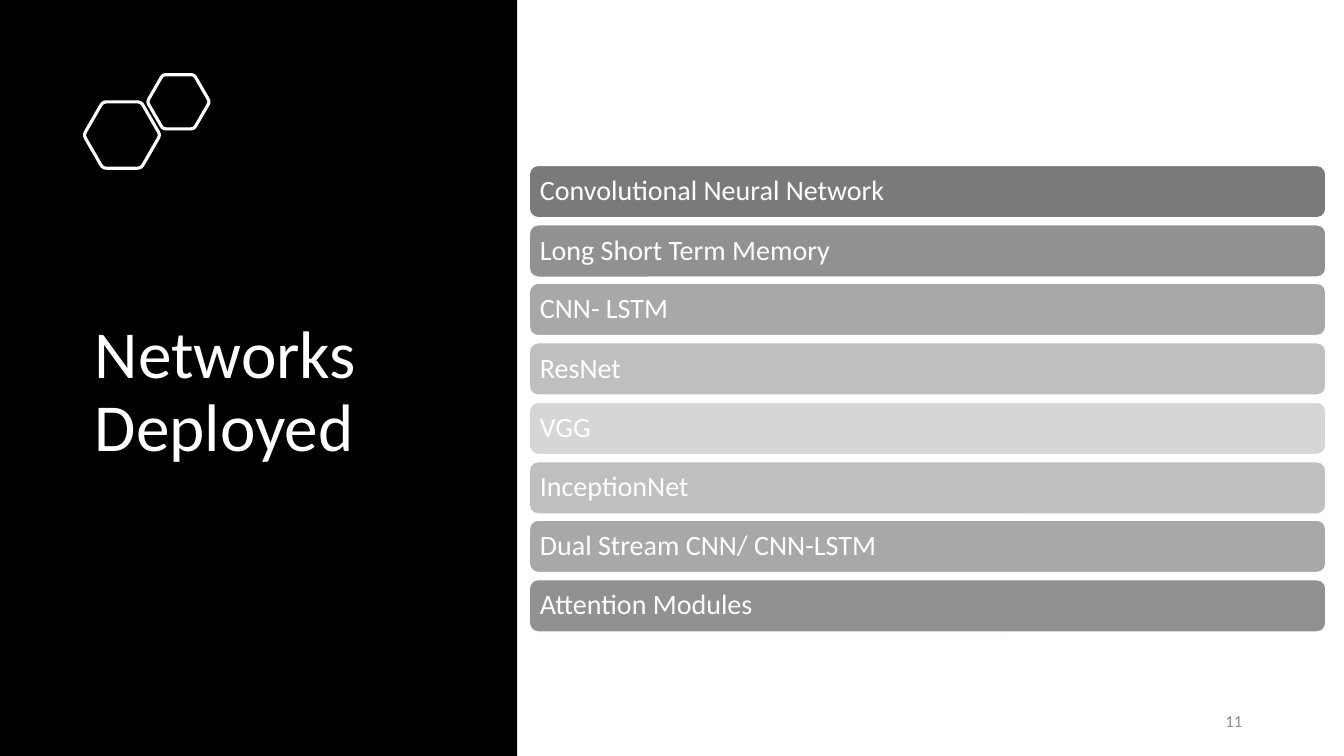
import math
from pptx import Presentation, util as u
from pptx.dml.color import RGBColor
from pptx.enum import shapes, text

PX = u.Inches(0.01)
THEME = {
    "font": "Calibri",
    "white": "FFFFFF",
    "panel": "000000",
    "number": "8C8C8C",
    "greys": ["7A7A7A", "919191", "A8A8A8", "BFBFBF", "D6D6D6"],
    "title_size": 48,
    "network_size": 20,
    "number_size": 12,
}


def color(name):
    return RGBColor.from_string(THEME.get(name, name))


def write(holder, words, size, ink, align, spacing, inset):
    frame = holder.text_frame
    frame.text = words
    frame_format = {
        "word_wrap": True,
        "auto_size": text.MSO_AUTO_SIZE.NONE,
        "vertical_anchor": text.MSO_ANCHOR.MIDDLE,
        "margin_left": inset * PX,
        "margin_right": inset * PX,
    }
    for key, value in frame_format.items():
        setattr(frame, key, value)
    line = frame.paragraphs[0]
    line.alignment = align
    line.line_spacing = spacing
    font_format = {"name": THEME["font"], "size": u.Pt(THEME[size])}
    for key, value in font_format.items():
        setattr(line.font, key, value)
    line.font.color.rgb = color(ink)


deck = Presentation()
deck.slide_width = 1333 * PX
deck.slide_height = 750 * PX
slide = deck.slides.add_slide(deck.slide_layouts[5])
canvas = slide.shapes

panel = canvas.add_shape(shapes.MSO_SHAPE.RECTANGLE, 0, 0, 513 * PX, 750 * PX)
panel.shadow.inherit = False
panel.fill.solid()
panel.fill.fore_color.rgb = color("panel")
panel.line.fill.background()

CORNER = 0.1
for center_x, center_y, radius in [(121, 134, 38), (177, 101, 31)]:
    vertices = [
        (center_x + radius * math.cos(math.radians(angle)),
         center_y + radius * math.sin(math.radians(angle)))
        for angle in range(0, 360, 60)
    ]
    outline = []
    for side, vertex in enumerate(vertices):
        before, after = vertices[side - 1], vertices[(side + 1) % 6]
        for step in range(5):
            t = step / 4
            outline.append(tuple(
                round(PX * (v + CORNER * ((1 - t) ** 2 * (b - v) + t ** 2 * (a - v))))
                for v, b, a in zip(vertex, before, after)
            ))
    builder = canvas.build_freeform(*outline[0])
    builder.add_line_segments(outline[1:], close=True)
    hexagon = builder.convert_to_shape()
    hexagon.shadow.inherit = False
    hexagon.fill.background()
    hexagon.line.color.rgb = color("white")
    hexagon.line.width = u.Pt(2.25)

title = canvas.title
title_place = {"left": 84, "top": 156, "width": 392, "height": 468}
for key, value in title_place.items():
    setattr(title, key, value * PX)
write(title, "Networks Deployed ", "title_size", "white", text.PP_ALIGN.LEFT, 0.9, 10)
panel._element.addnext(title._element)

networks = [
    "Convolutional Neural Network",
    "Long Short Term Memory",
    "CNN- LSTM",
    "ResNet",
    "VGG",
    "InceptionNet",
    "Dual Stream CNN/ CNN-LSTM",
    "Attention Modules",
]
FIRST_TOP, LAST_TOP = 164, 575
pitch = (LAST_TOP - FIRST_TOP) / (len(networks) - 1)
greys = THEME["greys"]
shades = greys + greys[-2::-1]
for row, (network, shade) in enumerate(zip(networks, shades)):
    top = round(FIRST_TOP + row * pitch)
    bar = canvas.add_shape(
        shapes.MSO_SHAPE.ROUNDED_RECTANGLE, 525 * PX, top * PX, 790 * PX, 52 * PX)
    bar.shadow.inherit = False
    bar.fill.solid()
    bar.fill.fore_color.rgb = color(shade)
    bar.line.color.rgb = color("white")
    bar.line.width = u.Pt(1)
    write(bar, network, "network_size", "white", text.PP_ALIGN.LEFT, 0.9, 8)

page_number = canvas.add_textbox(942 * PX, 695 * PX, 300 * PX, 40 * PX)
write(page_number, "11", "number_size", "number", text.PP_ALIGN.RIGHT, 1.0, 10)

deck.save("out.pptx")
